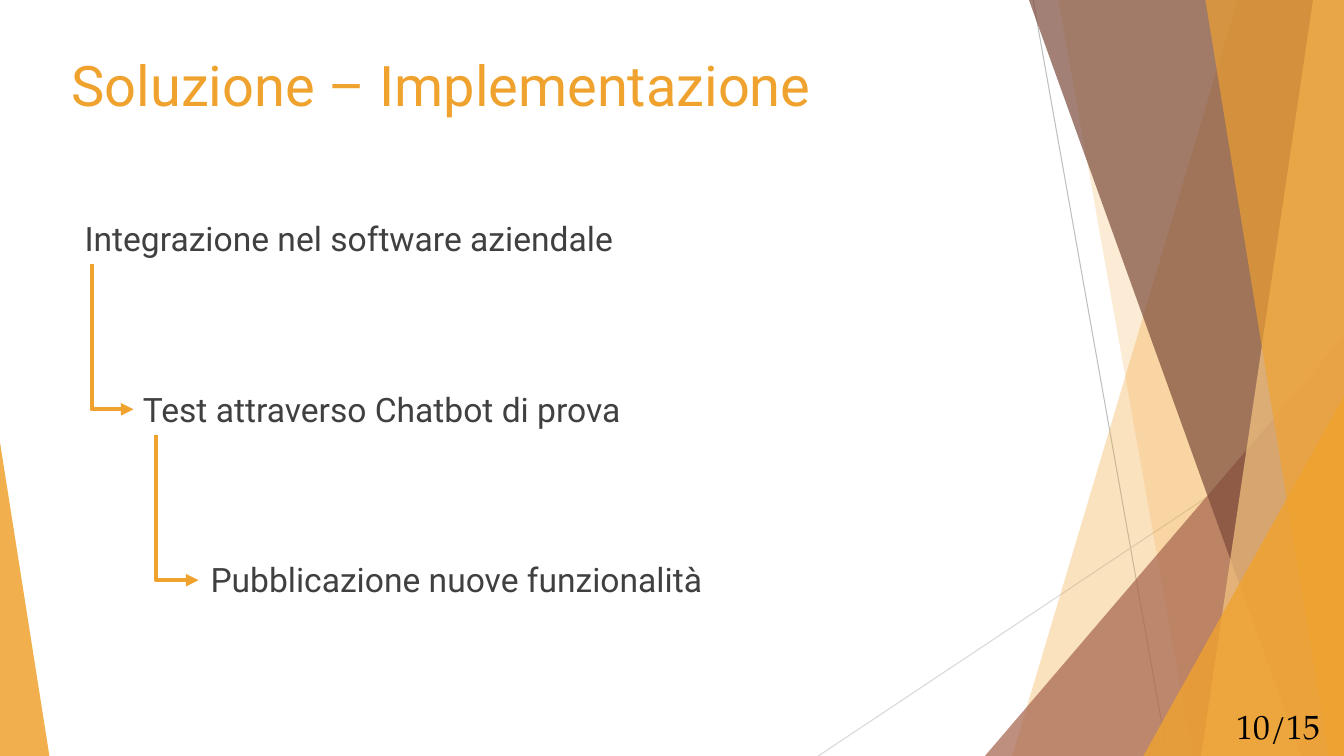
import pptx
import pptx.dml.color
import pptx.enum.shapes
import pptx.enum.text
import pptx.oxml
import pptx.oxml.ns
import pptx.util

Pt = pptx.util.Pt
qn = pptx.oxml.ns.qn
SHAPE = pptx.enum.shapes.MSO_SHAPE
CONNECTOR = pptx.enum.shapes.MSO_CONNECTOR
ALIGN = pptx.enum.text.PP_ALIGN

W, H = 960, 540
COLORS = {
    "orange": "F0A22E", "cream": "F6C782", "rust": "A5644E", "brown": "7C4B3B",
    "text": "404040", "black": "000000", "gray": "BFBFBF", "light": "D9D9D9",
}


def rgb(name):
    return pptx.dml.color.RGBColor.from_string(COLORS[name])


def sub(parent, tag, **attrs):
    el = parent.makeelement(qn(tag), attrs)
    parent.append(el)
    return el


def paint(sp, color, opacity):
    sp.shadow.inherit = False
    sp.line.fill.background()
    sp.fill.solid()
    sp.fill.fore_color.rgb = rgb(color)
    clr = sp.fill._xPr.find(qn("a:solidFill"))[0]
    sub(clr, "a:alpha", val=str(opacity * 1000))


def add_line(slide, kind, x1, y1, x2, y2, color, width):
    cxn = slide.shapes.add_connector(kind, Pt(x1), Pt(y1), Pt(x2), Pt(y2))
    cxn.line.color.rgb = rgb(color)
    cxn.line.width = Pt(width)
    sub(cxn._element.spPr, "a:effectLst")
    return cxn


def add_facet(slide, points, color, opacity):
    corners = [(Pt(x), Pt(y)) for x, y in points]
    fb = slide.shapes.build_freeform(*corners[0])
    fb.add_line_segments(corners[1:], close=True)
    paint(fb.convert_to_shape(), color, opacity)


def add_wedge(slide, x, y, w, h, apex, color, opacity):
    sp = slide.shapes.add_shape(SHAPE.ISOSCELES_TRIANGLE, Pt(x), Pt(y), Pt(w), Pt(h))
    sp.adjustments[0] = apex
    paint(sp, color, opacity)


def add_text(slide, text, x, y, w, font, color, align=ALIGN.LEFT, wrap=True):
    sp = slide.shapes.add_textbox(Pt(x), Pt(y), Pt(w), Pt(36))
    tf = sp.text_frame
    tf.word_wrap = wrap
    tf.auto_size = pptx.enum.text.MSO_AUTO_SIZE.SHAPE_TO_FIT_TEXT
    p = tf.paragraphs[0]
    p.text = text
    p.alignment = align
    p.font.size = Pt(24)
    p.font.name = font
    p.font.color.rgb = rgb(color)


def add_elbow(slide, x1, y1, x2, y2):
    """Arrow that goes down from the start, then right to the end."""
    # The box is laid out unrotated around the same centre, then turned by 270°
    cx, cy = (x1 + x2) / 2, (y1 + y2) / 2
    dx, dy = (y2 - y1) / 2, (x2 - x1) / 2
    cxn = add_line(slide, CONNECTOR.ELBOW, cx + dx, cy - dy, cx - dx, cy + dy, "orange", 3)
    spPr = cxn._element.spPr
    spPr.find(qn("a:xfrm")).set("rot", "16200000")
    spPr.find(qn("a:prstGeom")).set("prst", "bentConnector2")
    sub(spPr.find(qn("a:ln")), "a:tailEnd", type="triangle")


def draw_background(slide, w, h):
    # Thin crossing lines
    add_line(slide, CONNECTOR.STRAIGHT, w - 222, 0, w - 126, h, "gray", 0.75)
    add_line(slide, CONNECTOR.STRAIGHT, w, 290, w - 375.5, h, "light", 0.75)

    # Translucent facets: top left x, bottom left x, both measured from the right edge
    def facet(top, bottom, color, opacity):
        add_facet(slide, [(w - top, 0), (w, 0), (w, h), (w - bottom, h)], color, opacity)

    def corner(width, height, color, opacity):
        add_wedge(slide, w - width, h - height, width, height, 1, color, opacity)

    facet(76, 237, "orange", 30)
    facet(204, 108, "orange", 20)
    corner(256.5, 300, "rust", 72)
    facet(225, 30.5, "brown", 70)
    facet(22, 102, "cream", 70)
    facet(99, 11, "orange", 65)
    corner(143.3, 257, "orange", 80)

    # Wedge at the left edge
    add_wedge(slide, 0, h - 224, 35.3, 224, 0, "orange", 85)


def draw_title(slide, text, x, y, w, h):
    title = slide.shapes.title
    title.left, title.top, title.width, title.height = Pt(x), Pt(y), Pt(w), Pt(h)
    tf = title.text_frame
    tf.vertical_anchor = pptx.enum.text.MSO_ANCHOR.TOP
    tf.word_wrap = True
    p = tf.paragraphs[0]
    p.text = text
    p.alignment = ALIGN.LEFT
    p.font.size = Pt(40)
    p.font.name = "Roboto"
    p.font.color.rgb = rgb("orange")


def draw_steps(slide, x, y, pitch):
    # Text, left offset, width, wrap
    steps = [
        ("Integrazione nel software aziendale", 0, 409, True),
        ("Test attraverso Chatbot di prova", 41.7, 373, False),
        ("Pubblicazione nuove funzionalità", 90, 381, False),
    ]
    for i, (text, dx, w, wrap) in enumerate(steps):
        add_text(slide, text, x + dx, y + i * pitch, w, "Roboto", "text", wrap=wrap)

    # Arrows from each step to the next: offsets of stem and tip
    for i, (stem, tip) in enumerate([(12.2, 42), (58.3, 88.5)]):
        top = y + i * pitch
        add_elbow(slide, x + stem, top + 36.5, x + tip, top + pitch + 18.4)


def main():
    prs = pptx.Presentation()
    prs.slide_width, prs.slide_height = Pt(W), Pt(H)
    slide = prs.slides.add_slide(prs.slide_layouts[5])
    draw_background(slide, W, H)
    draw_title(slide, "Soluzione – Implementazione", 44, 32.5, 677, 104)
    draw_steps(slide, 53.3, 152, 122)
    # Page number
    add_text(slide, "10/15", 870, 501, 80, "TeX Gyre Pagella", "black", ALIGN.RIGHT)
    prs.save("out.pptx")


if __name__ == "__main__":
    main()
